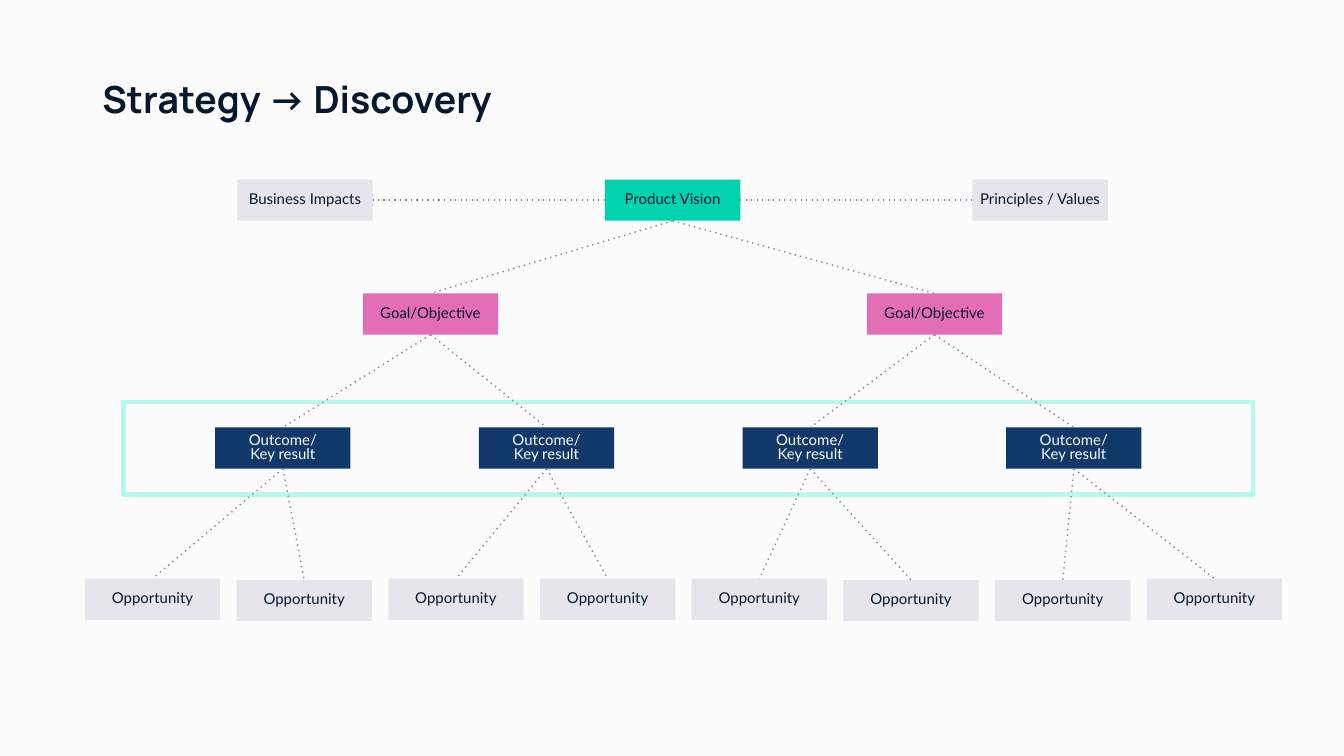
from lxml.etree import SubElement
from pptx import Presentation
from pptx.dml.color import RGBColor
from pptx.enum.shapes import MSO_CONNECTOR as Connector, MSO_SHAPE as Shape
from pptx.enum.text import MSO_ANCHOR as Anchor, PP_ALIGN as Align
from pptx.oxml.ns import qn
from pptx.util import Pt

TITLE = "Strategy → Discovery"
INK, PAPER, GREY, DOTS = "07182C", "FCFCFC", "E5E5EB", "85859F"
GREEN, PINK, NAVY, FRAME = "00D3AD", "E46EB5", "103869", "BAF7EC"

BOX_WIDTH, BOX_HEIGHT = 72.5, 22.1
CONTEXT = [("Business Impacts", GREY), ("Product Vision", GREEN), ("Principles / Values", GREY)]
GOALS = [("Goal/Objective", PINK)] * 2
OUTCOMES = [("Outcome/\nKey result", NAVY)] * 4
OPPORTUNITIES = [("Opportunity", GREY)] * 8
LOWERED = {1, 5, 6}
TOP, LEFT, BOTTOM, RIGHT = range(4)


def color(value):
    return RGBColor.from_string(value)


def write(shape, text, size=8, font="Lato", ink=INK, bold=False, align=Align.CENTER,
          anchor=Anchor.MIDDLE, spacing=0.8, side_inset=3.6):
    frame = shape.text_frame
    frame.word_wrap = True
    frame.vertical_anchor = anchor
    frame.margin_left = frame.margin_right = Pt(side_inset)
    frame.margin_top = frame.margin_bottom = Pt(7.2)
    for index, line in enumerate(text.split("\n")):
        paragraph = frame.paragraphs[0] if index == 0 else frame.add_paragraph()
        paragraph.alignment = align
        paragraph.line_spacing = spacing
        run = paragraph.add_run()
        run.text = line
        run.font.size = Pt(size)
        run.font.name = font
        run.font.bold = bold
        run.font.color.rgb = color(ink)


def add_rectangle(slide, left, top, width, height):
    shape = slide.shapes.add_shape(Shape.RECTANGLE, Pt(left), Pt(top), Pt(width), Pt(height))
    shape.shadow.inherit = False
    return shape


def add_row(slide, boxes, left, top, step, lowered=()):
    row = []
    for index, (text, fill) in enumerate(boxes):
        box_top = top + (0.75 if index in lowered else 0)
        shape = add_rectangle(slide, left + index * step, box_top, BOX_WIDTH, BOX_HEIGHT)
        shape.fill.solid()
        shape.fill.fore_color.rgb = color(fill)
        shape.line.fill.background()
        write(shape, text, ink=PAPER if fill == NAVY else INK)
        row.append(shape)
    return row


def connect(slide, start, start_site, end, end_site):
    connector = slide.shapes.add_connector(Connector.STRAIGHT, 0, 0, 0, 0)
    connector.begin_connect(start, start_site)
    connector.end_connect(end, end_site)
    connector.line.color.rgb = color(DOTS)
    connector.line.width = Pt(0.75)
    properties = connector._element.spPr
    SubElement(properties.find(qn("a:ln")), qn("a:prstDash")).set("val", "dot")
    SubElement(properties, qn("a:effectLst"))


def connect_children(slide, parents, children):
    for index, child in enumerate(children):
        connect(slide, parents[index // 2], BOTTOM, child, TOP)


def main():
    presentation = Presentation()
    presentation.slide_width, presentation.slide_height = Pt(720), Pt(405)
    slide = presentation.slides.add_slide(presentation.slide_layouts[6])
    slide.background.fill.solid()
    slide.background.fill.fore_color.rgb = color(PAPER)

    outcome_frame = add_rectangle(slide, 66.2, 215.3, 605, 49.7)
    outcome_frame.fill.background()
    outcome_frame.line.color.rgb = color(FRAME)
    outcome_frame.line.width = Pt(2.25)

    title = slide.shapes.add_textbox(Pt(47.8), Pt(33.8), Pt(578), Pt(42.5))
    write(title, TITLE, size=20, font="Manrope", bold=True, align=Align.LEFT,
          anchor=Anchor.TOP, spacing=1.0, side_inset=7.2)

    context = add_row(slide, CONTEXT, left=127.2, top=96.2, step=196.9)
    goals = add_row(slide, GOALS, left=194.4, top=157.2, step=270)
    outcomes = add_row(slide, OUTCOMES, left=115.3, top=229, step=141.25)
    opportunities = add_row(slide, OPPORTUNITIES, left=45.5, top=310, step=81.27, lowered=LOWERED)

    impacts, vision, principles = context
    connect(slide, vision, LEFT, impacts, RIGHT)
    connect(slide, principles, LEFT, vision, RIGHT)
    connect_children(slide, [vision], goals)
    connect_children(slide, goals, outcomes)
    connect_children(slide, outcomes, opportunities)

    presentation.save("out.pptx")


if __name__ == "__main__":
    main()
